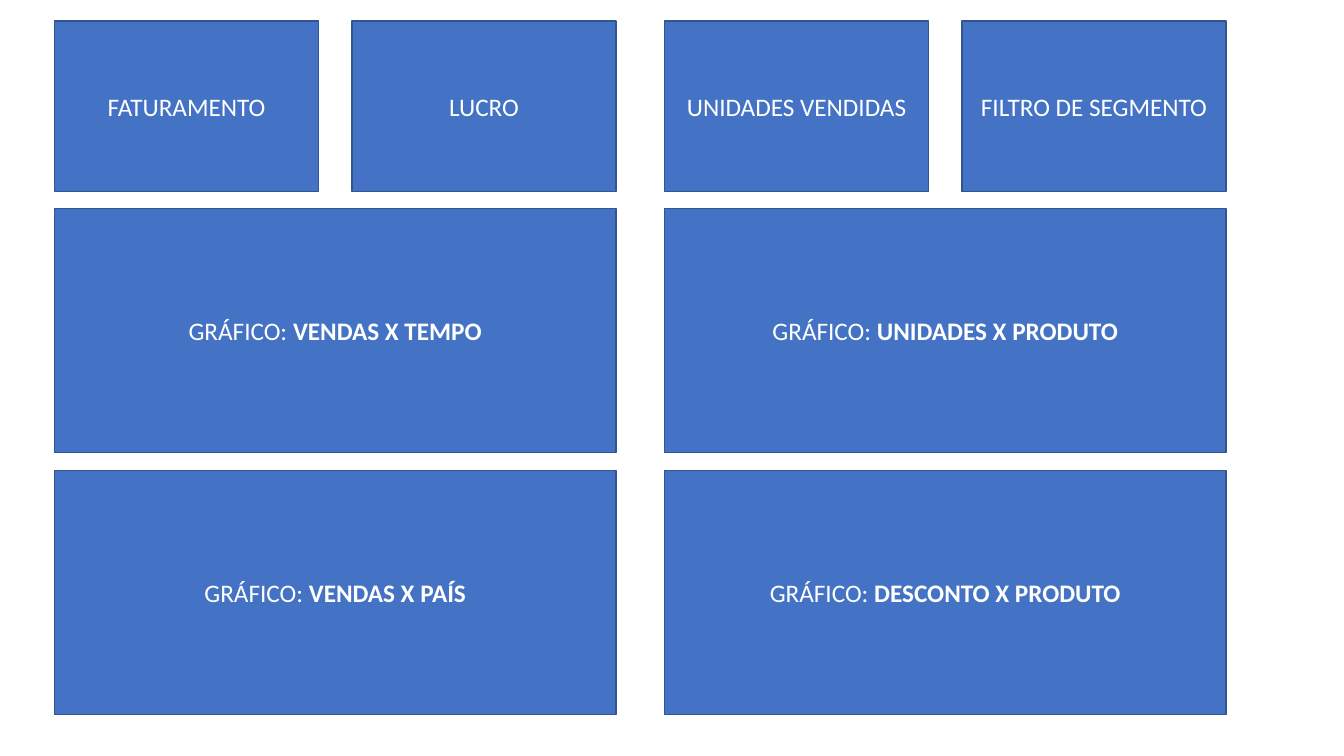
from dataclasses import dataclass

from pptx import Presentation
from pptx import util as u
from pptx.dml.color import RGBColor
from pptx.enum import shapes, text

COLORS = {"panel": "4472C4", "border": "325491", "label": "FFFFFF"}
FONT = "Calibri"

# Dashboard grid, in inches
COLUMN_LEFTS = (0.54, 6.59)
CARD_TOP, CARD_WIDTH, CARD_HEIGHT, CARD_STEP = 0.21, 2.62, 1.69, 2.95
CHART_TOP, CHART_WIDTH, CHART_HEIGHT, CHART_STEP = 2.07, 5.57, 2.42, 2.6

# One tuple per column
CARD_LABELS = (
    ("FATURAMENTO", "LUCRO"),
    ("UNIDADES VENDIDAS", "FILTRO DE SEGMENTO"),
)
CHART_LABELS = (
    ("VENDAS X TEMPO", "VENDAS X PAÍS"),
    ("UNIDADES X PRODUTO", "DESCONTO X PRODUTO"),
)


@dataclass(frozen=True)
class Panel:
    left: float
    top: float
    width: float
    height: float
    label: str
    bold_label: str = ""


def color(name: str) -> RGBColor:
    return RGBColor.from_string(COLORS[name])


def draw_panel(slide, panel: Panel) -> None:
    box = slide.shapes.add_shape(
        shapes.MSO_SHAPE.RECTANGLE,
        u.Inches(panel.left), u.Inches(panel.top),
        u.Inches(panel.width), u.Inches(panel.height),
    )
    box.shadow.inherit = False
    box.fill.solid()
    box.fill.fore_color.rgb = color("panel")
    box.line.color.rgb = color("border")
    box.line.width = u.Pt(1)

    frame = box.text_frame
    frame.word_wrap = True
    frame.vertical_anchor = text.MSO_ANCHOR.MIDDLE
    paragraph = frame.paragraphs[0]
    paragraph.alignment = text.PP_ALIGN.CENTER
    paragraph.font.name = FONT
    paragraph.font.size = u.Pt(18)
    paragraph.font.color.rgb = color("label")
    paragraph.add_run().text = panel.label
    if panel.bold_label:
        emphasis = paragraph.add_run()
        emphasis.text = panel.bold_label
        emphasis.font.bold = True


def dashboard_panels() -> list[Panel]:
    panels = []
    for left, cards, charts in zip(COLUMN_LEFTS, CARD_LABELS, CHART_LABELS):
        # Indicator cards sit side by side
        for i, label in enumerate(cards):
            panels.append(Panel(left + i * CARD_STEP, CARD_TOP,
                                CARD_WIDTH, CARD_HEIGHT, label))
        # Chart areas are stacked below the cards
        for i, subject in enumerate(charts):
            panels.append(Panel(left, CHART_TOP + i * CHART_STEP,
                                CHART_WIDTH, CHART_HEIGHT, "GRÁFICO: ", subject))
    return panels


def main() -> None:
    deck = Presentation()
    deck.slide_width, deck.slide_height = u.Inches(13.33), u.Inches(7.5)
    dashboard = deck.slides.add_slide(deck.slide_layouts[6])
    for panel in dashboard_panels():
        draw_panel(dashboard, panel)
    deck.save("out.pptx")


if __name__ == "__main__":
    main()
